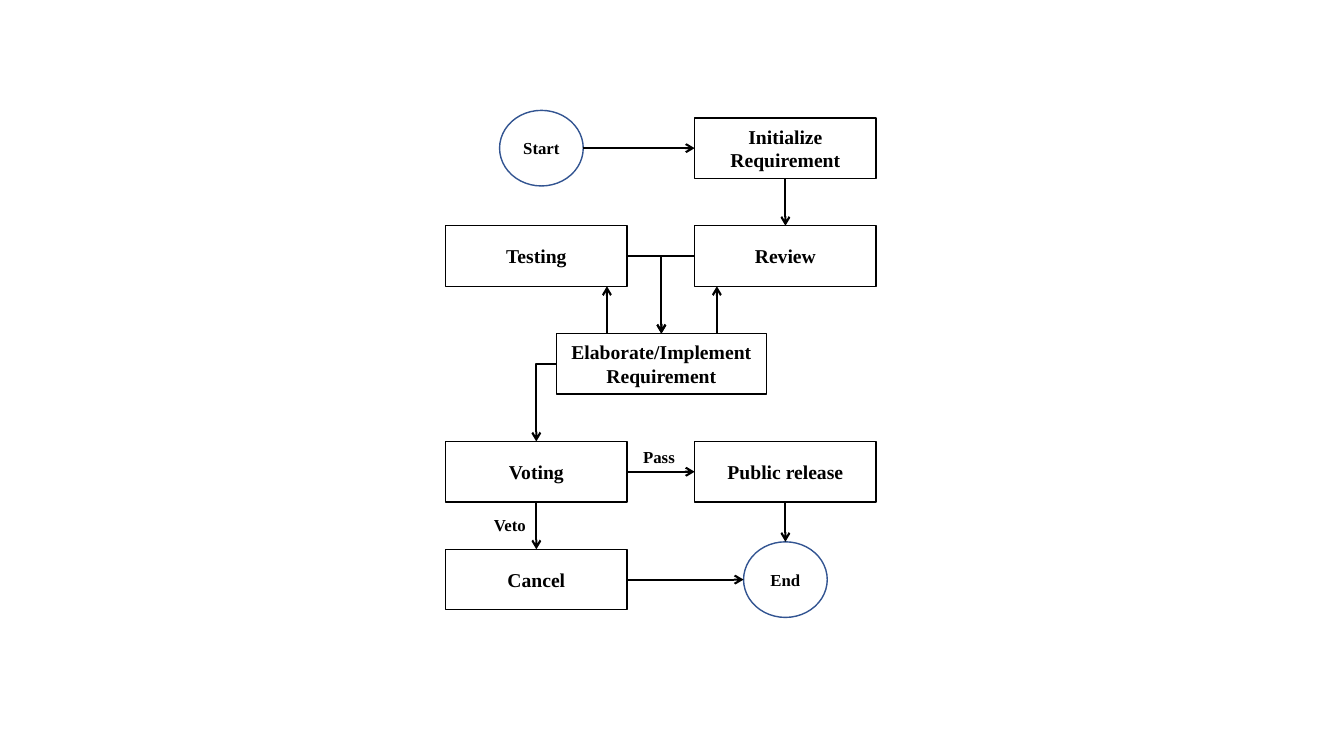
"""Build a flowchart slide that follows a requirement from start to release or cancellation."""
from lxml import etree
from pptx import Presentation
from pptx.dml.color import RGBColor
from pptx.enum.shapes import MSO_CONNECTOR, MSO_SHAPE
from pptx.enum.text import MSO_ANCHOR, PP_ALIGN
from pptx.oxml.ns import qn
from pptx.util import Inches, Pt

RECTANGLE, OVAL = MSO_SHAPE.RECTANGLE, MSO_SHAPE.OVAL
STRAIGHT, ELBOW = MSO_CONNECTOR.STRAIGHT, MSO_CONNECTOR.ELBOW
CENTER, LEFT_ALIGN = PP_ALIGN.CENTER, PP_ALIGN.LEFT
MIDDLE, ANCHOR_TOP = MSO_ANCHOR.MIDDLE, MSO_ANCHOR.TOP
TOP, LEFT, BOTTOM, RIGHT = range(4)

THEME = {
    "font": "Times New Roman",
    "ink": RGBColor(0x00, 0x00, 0x00),
    "paper": RGBColor(0xFF, 0xFF, 0xFF),
    "circle": RGBColor(0x32, 0x54, 0x91),
    "step_size": Pt(14),
    "small_size": Pt(12),
    "outline": Pt(1),
    "arrow": Pt(1.5),
}


def write(holder, text, size, align=CENTER, anchor=MIDDLE, wrap=True):
    frame = holder.text_frame
    frame.word_wrap = wrap
    frame.vertical_anchor = anchor
    paragraph = frame.paragraphs[0]
    paragraph.alignment = align
    run = paragraph.add_run()
    run.text = text
    run.font.name = THEME["font"]
    run.font.size = size
    run.font.bold = True
    run.font.color.rgb = THEME["ink"]


def add_arrow(kind, start, end):
    arrow = slide.shapes.add_connector(kind, *map(Inches, start + end))
    arrow.line.color.rgb = THEME["ink"]
    arrow.line.width = THEME["arrow"]
    properties = arrow._element.spPr
    etree.SubElement(properties.find(qn("a:ln")), qn("a:tailEnd"), type="arrow")
    etree.SubElement(properties, qn("a:effectLst"))
    if kind == ELBOW:
        properties.find(qn("a:prstGeom")).set("prst", "bentConnector2")
    return arrow


deck = Presentation()
deck.slide_width, deck.slide_height = Inches(13.33), Inches(7.5)
slide = deck.slides.add_slide(deck.slide_layouts[6])

LEFT_COLUMN, RIGHT_COLUMN, MIDDLE_COLUMN = 5.32, 7.79, 6.56
FIRST_ROW, ROW_PITCH = 1.47, 1.07
STEP_WIDTH, WIDE_STEP_WIDTH, STEP_HEIGHT = 1.8, 2.08, 0.6
CIRCLE_WIDTH, CIRCLE_HEIGHT = 0.83, 0.75
START_X = 5.37
rows = [FIRST_ROW + ROW_PITCH * number for number in range(5)]

step_style = (RECTANGLE, STEP_HEIGHT, THEME["ink"], THEME["step_size"])
circle_style = (OVAL, CIRCLE_HEIGHT, THEME["circle"], THEME["small_size"])
nodes = [
    ("Initialize Requirement", RIGHT_COLUMN, 0, STEP_WIDTH, step_style),
    ("Review", RIGHT_COLUMN, 1, STEP_WIDTH, step_style),
    ("Elaborate/Implement Requirement", MIDDLE_COLUMN, 2, WIDE_STEP_WIDTH, step_style),
    ("Testing", LEFT_COLUMN, 1, STEP_WIDTH, step_style),
    ("Voting", LEFT_COLUMN, 3, STEP_WIDTH, step_style),
    ("Public release", RIGHT_COLUMN, 3, STEP_WIDTH, step_style),
    ("Cancel", LEFT_COLUMN, 4, STEP_WIDTH, step_style),
    ("Start", START_X, 0, CIRCLE_WIDTH, circle_style),
    ("End", RIGHT_COLUMN, 4, CIRCLE_WIDTH, circle_style),
]
steps = {}
for name, center, row, width, (outline, height, color, size) in nodes:
    step = slide.shapes.add_shape(
        outline, Inches(center - width / 2), Inches(rows[row] - height / 2),
        Inches(width), Inches(height))
    step.shadow.inherit = False
    step.fill.solid()
    step.fill.fore_color.rgb = THEME["paper"]
    step.line.color.rgb = color
    step.line.width = THEME["outline"]
    write(step, name, size=size)
    steps[name] = step

for verdict, left, top in [("Pass", 6.28, 4.38), ("Veto", 4.8, 5.06)]:
    label = slide.shapes.add_textbox(Inches(left), Inches(top), Inches(0.52), Inches(0.3))
    write(label, verdict, size=THEME["small_size"], align=LEFT_ALIGN, anchor=ANCHOR_TOP, wrap=False)

elaborate = "Elaborate/Implement Requirement"
flows = [
    (STRAIGHT, "Initialize Requirement", BOTTOM, "Review", TOP),
    (STRAIGHT, "Voting", RIGHT, "Public release", LEFT),
    (STRAIGHT, "Voting", BOTTOM, "Cancel", TOP),
    (ELBOW, "Testing", RIGHT, elaborate, TOP),
    (ELBOW, elaborate, LEFT, "Voting", TOP),
    (ELBOW, "Review", LEFT, elaborate, TOP),
]
for kind, source, source_side, target, target_side in flows:
    flow = add_arrow(kind, (0, 0), (0, 0))
    flow.begin_connect(steps[source], source_side)
    flow.end_connect(steps[target], target_side)

half_step, half_height = STEP_WIDTH / 2, STEP_HEIGHT / 2
half_circle = CIRCLE_WIDTH / 2
add_arrow(STRAIGHT, (START_X + half_circle, rows[0]), (RIGHT_COLUMN - half_step, rows[0]))
add_arrow(STRAIGHT, (LEFT_COLUMN + half_step, rows[4]), (RIGHT_COLUMN - half_circle, rows[4]))
add_arrow(STRAIGHT, (RIGHT_COLUMN, rows[3] + half_height), (RIGHT_COLUMN, rows[4] - CIRCLE_HEIGHT / 2))
for feedback_x in (6.02, 7.11):
    add_arrow(STRAIGHT, (feedback_x, rows[2] - half_height), (feedback_x, rows[1] + half_height))

deck.save("out.pptx")
